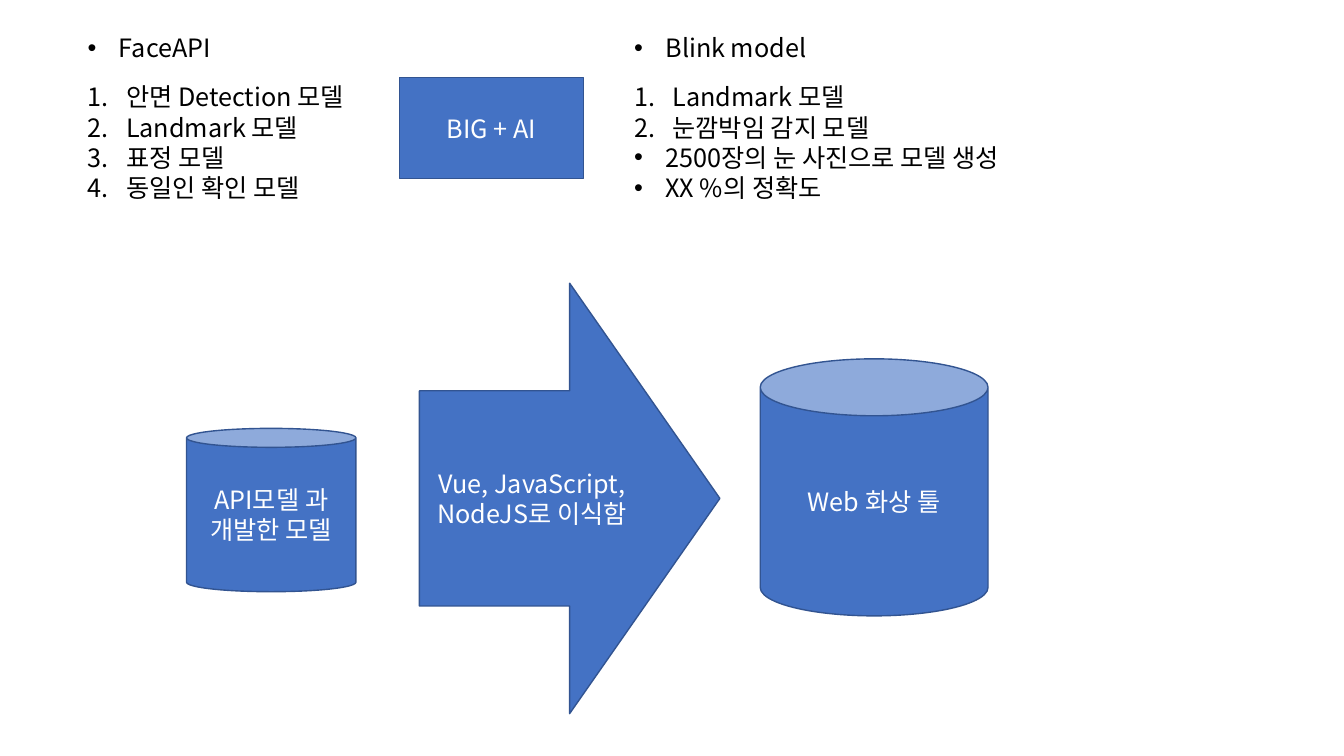
from lxml import etree
from pptx import Presentation
from pptx.dml.color import RGBColor
from pptx.enum.shapes import MSO_SHAPE
from pptx.enum.text import MSO_ANCHOR, MSO_AUTO_SIZE, PP_ALIGN
from pptx.oxml.ns import qn
from pptx.util import Inches, Pt

CAN, ARROW, RECT = MSO_SHAPE.CAN, MSO_SHAPE.RIGHT_ARROW, MSO_SHAPE.RECTANGLE
TOP, MIDDLE = MSO_ANCHOR.TOP, MSO_ANCHOR.MIDDLE
LEFT, CENTER = PP_ALIGN.LEFT, PP_ALIGN.CENTER
GROW = MSO_AUTO_SIZE.SHAPE_TO_FIT_TEXT

COLORS = {"text": "000000", "fill": "4472C4", "line": "325491", "label": "FFFFFF"}
FACE = "Noto Sans CJK KR"
FONT = {"name": FACE, "size": Pt(18), "bold": False}
SPACE = {"space_before": Pt(0), "space_after": Pt(0), "line_spacing": 1.0}
NUMBER, DOT = "number", "dot"
INDENT = {NUMBER: 0.38, DOT: 0.31}


def color(name):
    return RGBColor.from_string(COLORS[name])


def apply(target, values):
    for key, value in values.items():
        setattr(target, key, value)


def write(para, text, tint, align):
    apply(para, {**SPACE, "alignment": align})
    run = para.add_run()
    run.text = text
    apply(run.font, FONT)
    run.font.color.rgb = color(tint)
    etree.SubElement(run.font._element, qn("a:ea"), typeface=FACE)


def mark(para, kind):
    props = para._p.get_or_add_pPr()
    indent = Inches(INDENT[kind])
    props.set("marL", str(indent))
    props.set("indent", str(-indent))
    if kind == NUMBER:
        etree.SubElement(props, qn("a:buFont"), typeface="+mj-lt")
        etree.SubElement(props, qn("a:buAutoNum"), type="arabicPeriod")
    else:
        etree.SubElement(props, qn("a:buFont"), typeface="Arial")
        etree.SubElement(props, qn("a:buChar"), char="•")


def place(shape, box):
    sides = ("left", "top", "width", "height")
    apply(shape, {side: Inches(size) for side, size in zip(sides, box)})


def fill_list(holder, box, items, wrap):
    place(holder, box)
    frame = holder.text_frame
    apply(frame, {"word_wrap": wrap, "auto_size": GROW, "vertical_anchor": TOP})
    for index, (kind, text) in enumerate(items):
        para = frame.add_paragraph() if index else frame.paragraphs[0]
        write(para, text, "text", LEFT)
        mark(para, kind)


def add_group(head, body, box, title, items):
    left, top, width, height, span = box
    fill_list(head, (left, top, span, 0.4), [(DOT, title)], True)
    fill_list(body, (left, top + 0.49, width, height), items, False)


def add_block(slide, kind, box, text, adjust=None):
    shape = slide.shapes.add_shape(kind, *map(Inches, box))
    shape.shadow.inherit = False
    shape.fill.solid()
    shape.fill.fore_color.rgb = color("fill")
    shape.line.color.rgb = color("line")
    shape.line.width = Pt(1)
    if adjust:
        shape.adjustments[0] = adjust
    frame = shape.text_frame
    apply(frame, {"word_wrap": True, "vertical_anchor": MIDDLE})
    write(frame.paragraphs[0], text, "label", CENTER)


def add_models(slide):
    parts = {part.placeholder_format.idx: part for part in slide.placeholders}
    title = parts[0]._element
    title.getparent().remove(title)
    add_group(parts[1], parts[2], (0.77, 0.27, 2.87, 1.62, 1.66), "FaceAPI", [
        (NUMBER, "안면 Detection 모델"),
        (NUMBER, "Landmark 모델"),
        (NUMBER, "표정 모델"),
        (NUMBER, "동일인 확인 모델"),
    ])
    add_group(parts[3], parts[4], (6.19, 0.27, 4.21, 1.31, 1.97), "Blink model", [
        (NUMBER, "Landmark 모델"),
        (NUMBER, "눈깜박임 감지 모델"),
        (DOT, "2500장의 눈 사진으로 모델 생성"),
        (DOT, "XX %의 정확도"),
    ])


def add_flow(slide):
    add_block(slide, CAN, (7.54, 3.56, 2.26, 2.55), "Web 화상 툴")
    add_block(slide, CAN, (1.85, 4.25, 1.68, 1.62), "API모델 과 개발한 모델", 0.116)
    add_block(slide, ARROW, (4.16, 2.81, 2.98, 4.27), "Vue, JavaScript, NodeJS로 이식함")
    add_block(slide, RECT, (3.96, 0.77, 1.83, 1), "BIG + AI")


def main():
    deck = Presentation()
    apply(deck, {"slide_width": Inches(13.33), "slide_height": Inches(7.5)})
    slide = deck.slides.add_slide(deck.slide_layouts.get_by_name("Comparison"))
    add_models(slide)
    add_flow(slide)
    deck.save("out.pptx")


if __name__ == "__main__":
    main()
